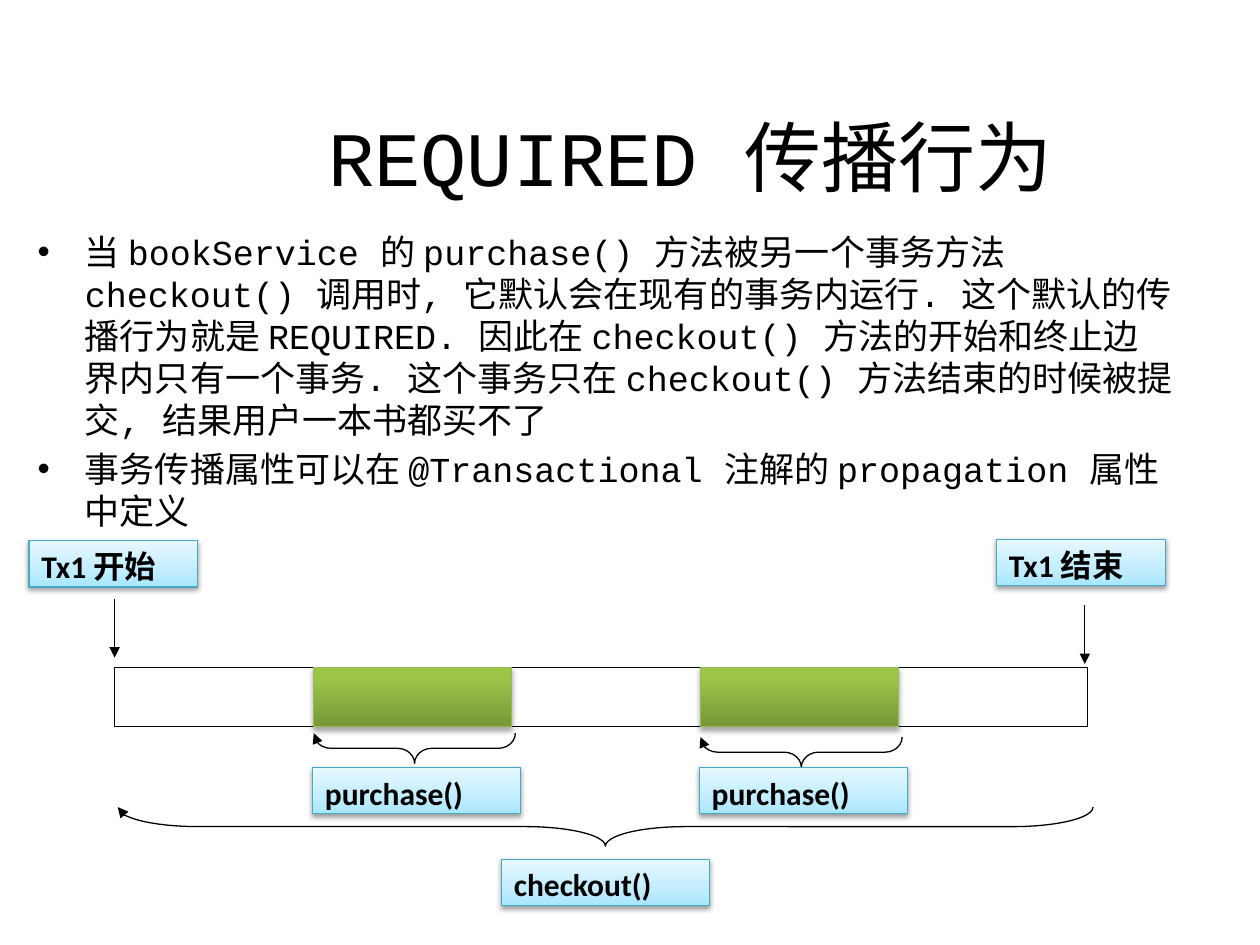
"""Build a slide that explains the REQUIRED transaction propagation behaviour."""
from lxml import etree
from pptx import Presentation
from pptx.dml.color import RGBColor
from pptx.enum.shapes import MSO_CONNECTOR, MSO_SHAPE
from pptx.enum.text import MSO_ANCHOR, PP_ALIGN
from pptx.oxml.ns import qn
from pptx.util import Pt

BLACK = RGBColor(0x00, 0x00, 0x00)
WHITE = RGBColor(0xFF, 0xFF, 0xFF)
AQUA_LINE = RGBColor(0x46, 0xAA, 0xC5)
GREEN_LINE = RGBColor(0x98, 0xB9, 0x55)
AQUA_STOPS = (
    (0, RGBColor(0xA7, 0xE6, 0xFF)),
    (35, RGBColor(0xC1, 0xED, 0xFF)),
    (100, RGBColor(0xE7, 0xF8, 0xFF)),
)
GREEN_STOPS = (
    (0, RGBColor(0x77, 0x97, 0x37)),
    (80, RGBColor(0x9B, 0xC3, 0x48)),
    (100, RGBColor(0x9D, 0xC7, 0x46)),
)
RECTANGLE = MSO_SHAPE.RECTANGLE
BRACE = MSO_SHAPE.RIGHT_BRACE
STRAIGHT = MSO_CONNECTOR.STRAIGHT
TOP, MIDDLE = MSO_ANCHOR.TOP, MSO_ANCHOR.MIDDLE
LEFT, CENTER = PP_ALIGN.LEFT, PP_ALIGN.CENTER

HANGING = 27
BAR_TOP, BAR_HEIGHT = 381.6, 33.8
BODY = (
    "当 bookService 的 purchase() 方法被另一个事务方法 checkout() 调用时, "
    "它默认会在现有的事务内运行. 这个默认的传播行为就是 REQUIRED. "
    "因此在 checkout() 方法的开始和终止边界内只有一个事务. "
    "这个事务只在 checkout() 方法结束的时候被提交, 结果用户一本书都买不了",
    "事务传播属性可以在 @Transactional 注解的 propagation 属性中定义",
)


def add_child(parent, tag, **attributes):
    """Append a drawing element to a parent element."""
    child = etree.SubElement(parent, qn(tag))
    for name, value in attributes.items():
        child.set(name, str(value))
    return child


def write_text(para, text, font, size, bold=False, align=LEFT,
               before=0, hanging=0, bullet=None):
    """Write one formatted span into a paragraph."""
    para.alignment = align
    para.space_before = Pt(before)
    span = para.add_run()
    span.text = text
    span.font.name = font
    span.font.size = Pt(size)
    span.font.bold = bold
    span.font.color.rgb = BLACK
    properties = para._p.get_or_add_pPr()
    if hanging:
        properties.set("marL", str(Pt(hanging)))
        properties.set("indent", str(-Pt(hanging)))
    if bullet:
        add_child(properties, "a:buFont", typeface="Arial")
        add_child(properties, "a:buChar", char=bullet)


class DiagramSlide:
    """Hold the style and the current slide."""

    text_font = "Courier New"
    label_font = "Calibri"
    line_width = Pt(0.75)

    def __init__(self, page):
        """Keep the shapes of the page."""
        self.shapes = page.shapes

    def outline(self, line, color=BLACK, arrow=False):
        """Style a line, with an optional arrowhead at its end."""
        line.color.rgb = color
        line.width = self.line_width
        if arrow:
            add_child(line._get_or_add_ln(), "a:tailEnd", type="triangle")

    def text(self, left, top, width, height, lines, anchor=TOP, **style):
        """Add a text box with one paragraph for each line."""
        box = self.shapes.add_textbox(Pt(left), Pt(top), Pt(width), Pt(height))
        frame = box.text_frame
        frame.word_wrap = True
        frame.vertical_anchor = anchor
        for index, line in enumerate(lines):
            para = frame.add_paragraph() if index else frame.paragraphs[0]
            write_text(para, line, self.text_font, **style)

    def shape(self, kind, left, top, width, height, color=BLACK, arrow=False):
        """Add an outlined preset shape without a shadow."""
        shape = self.shapes.add_shape(kind, Pt(left), Pt(top), Pt(width), Pt(height))
        shape.shadow.inherit = False
        self.outline(shape.line, color, arrow)
        return shape

    def bar(self, left, top, width, height):
        """Add the white bar of the whole transaction."""
        bar = self.shape(RECTANGLE, left, top, width, height)
        bar.fill.solid()
        bar.fill.fore_color.rgb = WHITE

    def raised(self, left, top, width, height, stops, color, distance, opacity):
        """Add a rectangle with an upward gradient and a soft shadow."""
        block = self.shape(RECTANGLE, left, top, width, height, color)
        block.fill.gradient()
        block.fill.gradient_angle = 90
        properties = block._element.spPr
        stop_list = properties.find(".//" + qn("a:gsLst"))
        for stop in list(stop_list):
            stop_list.remove(stop)
        for position, shade in stops:
            stop = add_child(stop_list, "a:gs", pos=position * 1000)
            add_child(stop, "a:srgbClr", val=shade)
        shadow = add_child(properties.find(qn("a:effectLst")), "a:outerShdw",
                           blurRad=Pt(3.1), dist=Pt(distance), dir=90 * 60000,
                           rotWithShape=0)
        shade = add_child(shadow, "a:srgbClr", val=BLACK)
        add_child(shade, "a:alpha", val=opacity * 1000)
        return block

    def step(self, left):
        """Add a green block for one method call inside the bar."""
        self.raised(left, BAR_TOP, 113, BAR_HEIGHT, GREEN_STOPS, GREEN_LINE, 1.8, 35)

    def label(self, left, top, width, text):
        """Add an aqua label."""
        box = self.raised(left, top, width, 26.6, AQUA_STOPS, AQUA_LINE, 1.6, 38)
        frame = box.text_frame
        frame.word_wrap = True
        frame.vertical_anchor = TOP
        write_text(frame.paragraphs[0], text, self.label_font, 18, bold=True,
                   before=9, hanging=HANGING)

    def arrow(self, x, top, length):
        """Add an arrow that points down."""
        arrow = self.shapes.add_connector(STRAIGHT, Pt(x), Pt(top), Pt(x), Pt(top + length))
        self.outline(arrow.line, arrow=True)
        add_child(arrow._element.spPr, "a:effectLst")

    def brace(self, left, top, width, height, curve):
        """Add a brace that opens upward, placed by its turned outline."""
        shift = (width - height) / 2
        brace = self.shape(BRACE, left + shift, top - shift, height, width, arrow=True)
        brace.rotation = 90
        brace.adjustments[0] = curve
        brace.adjustments[1] = 0.5
        brace.fill.background()


def main():
    """Compose the slide and save the deck."""
    deck = Presentation()
    deck.slide_width, deck.slide_height = Pt(720), Pt(540)
    diagram = DiagramSlide(deck.slides.add_slide(deck.slide_layouts[6]))

    diagram.text(70.6, 55.4, 648, 67.7, ["REQUIRED 传播行为"],
                 anchor=MIDDLE, size=44, align=CENTER)
    diagram.text(14.4, 128.2, 663, 322.6, BODY,
                 size=20, before=4, hanging=HANGING, bullet="•")

    diagram.bar(65.5, BAR_TOP, 555.8, BAR_HEIGHT)
    for x, top, left, label_top, text in (
        (65.5, 342, 16.6, 308.9, "Tx1 开始"),
        (619.9, 345.6, 569.5, 308.2, "Tx1 结束"),
    ):
        diagram.arrow(x, top, 33.8)
        diagram.label(left, label_top, 96.5, text)

    for left, brace_top in ((179.3, 419), (400.3, 421.2)):
        diagram.step(left)
        diagram.brace(left, brace_top, 115.2, 17.3, 0.565)
        diagram.label(left - 0.7, 438.5, 118.8, "purchase()")

    diagram.brace(67.3, 461.2, 557.3, 22.3, 2.053)
    diagram.label(286.6, 491, 118.8, "checkout()")
    deck.save("out.pptx")


if __name__ == "__main__":
    main()
